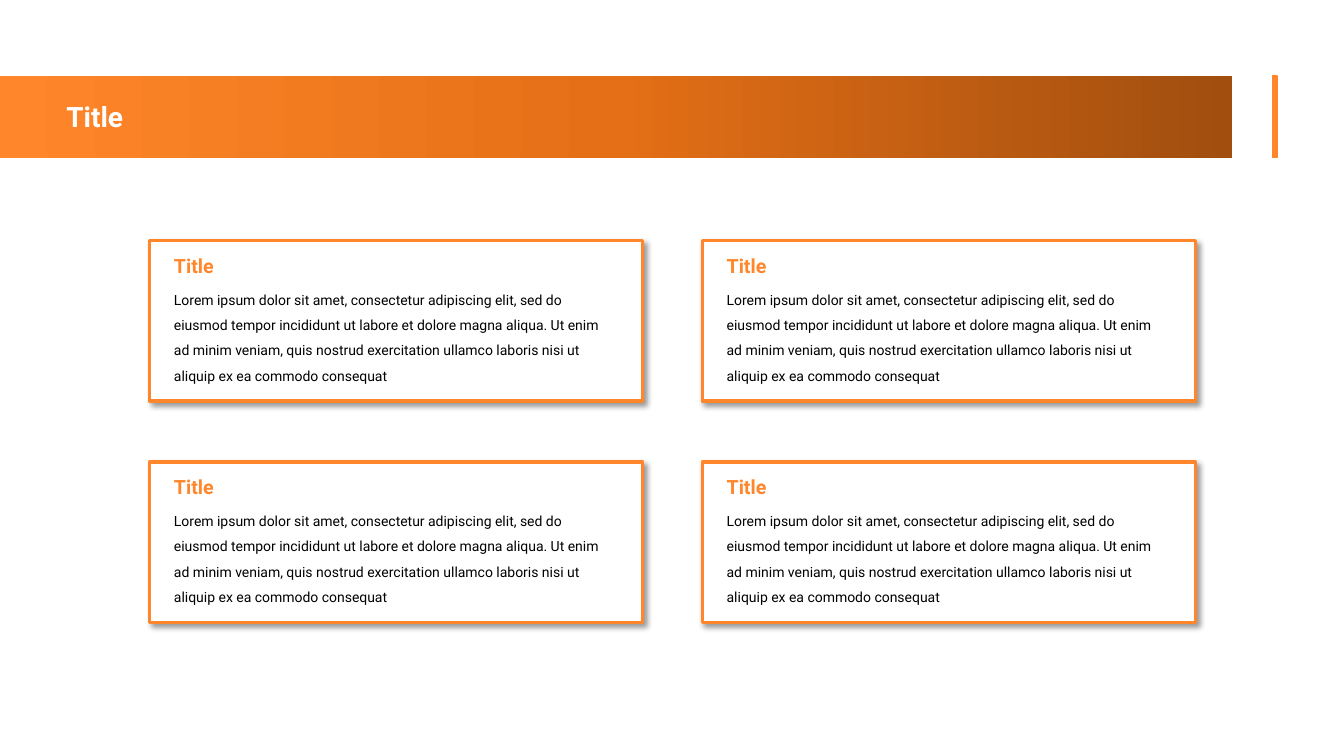
import copy

import pptx
import pptx.dml.color
import pptx.enum.shapes
import pptx.enum.text
import pptx.oxml
import pptx.oxml.ns
import pptx.util

Pt = pptx.util.Pt
qn = pptx.oxml.ns.qn

HEADING = "Title"
LOREM = (
    "Lorem ipsum dolor sit amet, consectetur adipiscing elit, sed do eiusmod "
    "tempor incididunt ut labore et dolore magna aliqua. Ut enim ad minim veniam, "
    "quis nostrud exercitation ullamco laboris nisi ut aliquip ex ea commodo consequat"
)
CARDS = [("Title", LOREM)] * 4
COLORS = {
    "orange": "FF862A",
    "mid": "E46F16",
    "brown": "A14E0F",
    "white": "FFFFFF",
    "black": "000000",
}
FONT = "Roboto"

# All lengths in points
SLIDE_W, SLIDE_H = 960, 540
BAND_TOP, BAND_W, BAND_H = 54.4, 880, 58.3
CARD_LEFT, CARD_TOP, CARD_W, CARD_H = 106.8, 172, 352.4, 114.5
STEP_X, STEP_Y, COLUMNS = 394.8, 158, 2
TEXT_INSET = 10.4


def rgb(name):
    return pptx.dml.color.RGBColor.from_string(COLORS[name])


def add_box(s, x, y, w, h, fill, line=None, line_w=1):
    sp = s.shapes.add_shape(
        pptx.enum.shapes.MSO_SHAPE.RECTANGLE, Pt(x), Pt(y), Pt(w), Pt(h))
    sp.shadow.inherit = False
    sp.fill.solid()
    sp.fill.fore_color.rgb = rgb(fill)
    if line:
        sp.line.color.rgb = rgb(line)
        sp.line.width = Pt(line_w)
    else:
        sp.line.fill.background()
    return sp


def set_gradient(sp, names):
    """Fill from left to right with three evenly spaced colours."""
    sp.fill.gradient()
    sp.fill.gradient_angle = 0
    first = sp._element.spPr.find(".//" + qn("a:gs"))
    first.addnext(copy.deepcopy(first))
    for i, (stop, name) in enumerate(zip(sp.fill.gradient_stops, names)):
        stop.position = i / (len(names) - 1)
        stop.color.rgb = rgb(name)


def add_shadow(sp):
    effects = sp._element.spPr.find(qn("a:effectLst"))
    effects.append(pptx.oxml.parse_xml(
        f'<a:outerShdw {pptx.oxml.ns.nsdecls("a")} blurRad="{Pt(4)}" dist="{Pt(3)}" '
        f'dir="2700000" algn="tl" rotWithShape="0"><a:srgbClr val="{COLORS["black"]}">'
        '<a:alpha val="40000"/></a:srgbClr></a:outerShdw>'))


def set_text(sp, text, size, color, bold=False, spacing=1.0):
    tf = sp.text_frame
    tf.word_wrap = True
    tf.auto_size = pptx.enum.text.MSO_AUTO_SIZE.SHAPE_TO_FIT_TEXT
    tf.vertical_anchor = pptx.enum.text.MSO_ANCHOR.TOP
    p = tf.paragraphs[0]
    p.alignment = pptx.enum.text.PP_ALIGN.LEFT
    p.line_spacing = spacing
    r = p.add_run()
    r.text = text
    r.font.name = FONT
    r.font.size = Pt(size)
    r.font.bold = bold
    r.font.color.rgb = rgb(color)


def add_card(s, x, y, heading, body):
    add_shadow(add_box(s, x, y, CARD_W, CARD_H, "white", "orange", 2.25))
    left = Pt(x + TEXT_INSET)
    title = s.shapes.add_textbox(left, Pt(y + 6), Pt(155), Pt(24.2))
    set_text(title, heading, 14, "orange", bold=True)
    text = s.shapes.add_textbox(left, Pt(y + 26.6), Pt(330), Pt(78))
    set_text(text, body, 10, "black", spacing=1.5)


def main():
    prs = pptx.Presentation()
    prs.slide_width, prs.slide_height = Pt(SLIDE_W), Pt(SLIDE_H)
    s = prs.slides.add_slide(prs.slide_layouts[5])

    band = add_box(s, 0, BAND_TOP, BAND_W, BAND_H, "orange")
    set_gradient(band, ["orange", "mid", "brown"])
    add_box(s, 908.9, BAND_TOP, 3.4, BAND_H, "orange", "orange")

    title = s.shapes.title
    title.left, title.top, title.width, title.height = Pt(40.2), Pt(67.8), Pt(800), Pt(31.5)
    set_text(title, HEADING, 20, "white", bold=True)
    s.shapes._spTree.append(title._element)  # in front of the band

    for i, (heading, body) in enumerate(CARDS):
        row, col = divmod(i, COLUMNS)
        add_card(s, CARD_LEFT + col * STEP_X, CARD_TOP + row * STEP_Y, heading, body)

    prs.save("out.pptx")


if __name__ == "__main__":
    main()
